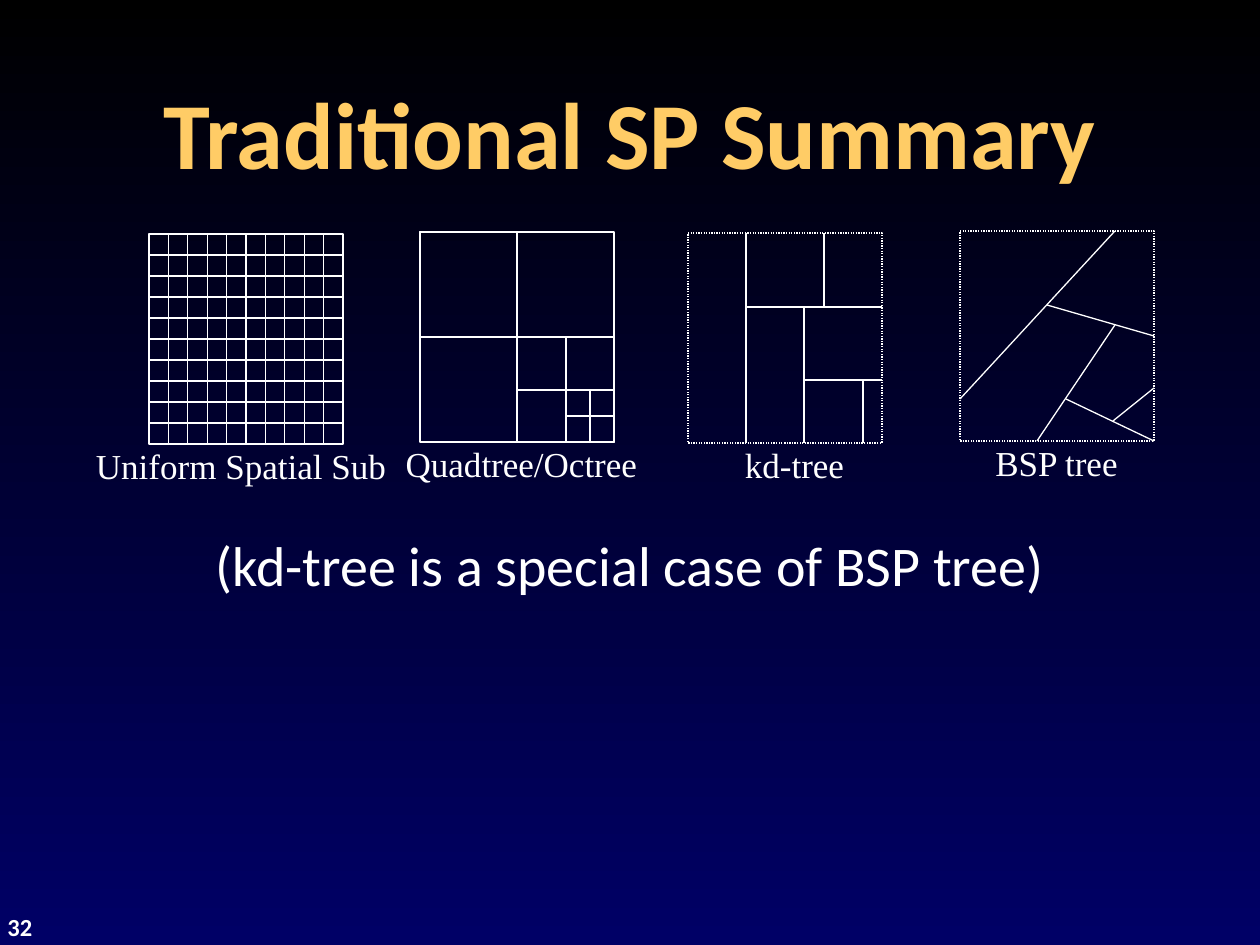
from dataclasses import dataclass

from pptx import Presentation
from pptx.dml.color import RGBColor
from pptx.enum.dml import MSO_LINE
from pptx.enum.shapes import MSO_CONNECTOR, MSO_SHAPE
from pptx.enum.text import MSO_ANCHOR as Anchor, PP_ALIGN as Align
from pptx.oxml.xmlchemy import OxmlElement
from pptx.util import Pt

EMU_PER_PX = 914400 / 126
FRAME_WIDTH, FRAME_HEIGHT = 194, 210
CAPTION_OFFSET, CAPTION_HEIGHT = 204, 54


@dataclass(frozen=True)
class Theme:
    sans: str = "Calibri"
    serif: str = "Times New Roman"
    white: RGBColor = RGBColor(0xFF, 0xFF, 0xFF)
    gold: RGBColor = RGBColor(0xFF, 0xCC, 0x66)
    black: RGBColor = RGBColor(0, 0, 0)
    navy: RGBColor = RGBColor(0, 0, 0x66)
    title_size: int = 54
    body_size: int = 32
    caption_size: int = 20
    number_size: int = 14
    line_width: float = 0.75


THEME = Theme()


def px(length):
    return round(length * EMU_PER_PX)


def paint_background(slide):
    fill = slide.background.fill
    fill.gradient()
    fill.gradient_angle = 270
    for stop, color in zip(fill.gradient_stops, (THEME.black, THEME.navy)):
        stop.color.rgb = color


def add_text(shapes, box, text, size, font=THEME.sans, color=THEME.white,
             bold=False, align=Align.CENTER, anchor=Anchor.TOP):
    frame = shapes.add_textbox(*map(px, box)).text_frame
    frame.word_wrap = True
    frame.vertical_anchor = anchor
    paragraph = frame.paragraphs[0]
    paragraph.alignment = align
    run = paragraph.add_run()
    run.text = text
    run.font.name = font
    run.font.size = Pt(size)
    run.font.bold = bold
    run.font.color.rgb = color


def style_line(line, dash=None):
    line.color.rgb = THEME.white
    line.width = Pt(THEME.line_width)
    if dash is not None:
        line.dash_style = dash


def add_cell(shapes, left, top, width, height, dash=None):
    cell = shapes.add_shape(MSO_SHAPE.RECTANGLE, *map(px, (left, top, width, height)))
    cell.shadow.inherit = False
    cell.fill.background()
    style_line(cell.line, dash)
    return cell


def add_split(shapes, cell, box, start, end):
    """Draw a line given relative to the cell's corner, joined at side middles."""
    left, top, width, height = box
    points = [px(value) for x, y in (start, end) for value in (left + x, top + y)]
    split = shapes.add_connector(MSO_CONNECTOR.STRAIGHT, *points)
    style_line(split.line)
    split._element.spPr.append(OxmlElement("a:effectLst"))
    sides = {(width / 2, 0): 0, (0, height / 2): 1,
             (width / 2, height): 2, (width, height / 2): 3}
    if start in sides:
        split.begin_connect(cell, sides[start])
    if end in sides:
        split.end_connect(cell, sides[end])


def add_divided_cell(shapes, box, splits, dash=None):
    cell = add_cell(shapes, *box, dash)
    for start, end in splits:
        add_split(shapes, cell, box, start, end)


def add_caption(shapes, left, frame_top, width, text):
    box = (left, frame_top + CAPTION_OFFSET, width, CAPTION_HEIGHT)
    add_text(shapes, box, text, THEME.caption_size, THEME.serif)


def grid_splits(width, height, count):
    columns = [((width * i / count, 0), (width * i / count, height))
               for i in range(1, count)]
    rows = [((0, height * i / count), (width, height * i / count))
            for i in range(1, count)]
    return columns + rows


def add_uniform_grid(slide):
    shapes = slide.shapes.add_group_shape().shapes
    left, top = 149, 234
    add_divided_cell(shapes, (left, top, FRAME_WIDTH, FRAME_HEIGHT),
                     grid_splits(FRAME_WIDTH, FRAME_HEIGHT, 10))
    add_caption(shapes, 81, top, 320, "Uniform Spatial Sub")


def add_quadtree(slide):
    shapes = slide.shapes.add_group_shape().shapes
    left, top = 420, 232
    half_width, half_height = FRAME_WIDTH // 2, FRAME_HEIGHT // 2
    middle_x, middle_y = left + half_width, top + half_height
    small_width, small_height = 48, 52
    add_cell(shapes, left, top, FRAME_WIDTH, FRAME_HEIGHT)
    add_cell(shapes, left, top, half_width, half_height)
    add_cell(shapes, middle_x, middle_y, half_width, half_height)
    add_cell(shapes, middle_x, middle_y,
             half_width - small_width, half_height - small_height)
    smallest = (left + FRAME_WIDTH - small_width, top + FRAME_HEIGHT - small_height,
                small_width, small_height)
    add_divided_cell(shapes, smallest, grid_splits(small_width, small_height, 2))
    add_caption(shapes, 393, top, 257, "Quadtree/Octree")


def add_partition_tree(slide, left, top, splits, caption_left, caption):
    shapes = slide.shapes.add_group_shape().shapes
    add_divided_cell(shapes, (left, top, FRAME_WIDTH, FRAME_HEIGHT), splits,
                     MSO_LINE.ROUND_DOT)
    add_caption(shapes, caption_left, top, 233, caption)


def main():
    presentation = Presentation()
    presentation.slide_width, presentation.slide_height = px(1260), px(945)
    slide = presentation.slides.add_slide(presentation.slide_layouts[6])
    paint_background(slide)
    add_text(slide.shapes, (-5, 906, 83, 42), "32", THEME.number_size,
             bold=True, align=Align.LEFT)
    add_text(slide.shapes, (63, 53, 1134, 158), "Traditional SP Summary",
             THEME.title_size, color=THEME.gold, bold=True, anchor=Anchor.MIDDLE)
    add_text(slide.shapes, (21, 524, 1218, 208),
             "(kd-tree is a special case of BSP tree)", THEME.body_size)

    add_uniform_grid(slide)
    add_quadtree(slide)
    kd_splits = [
        ((58, 0), (58, 210)),
        ((58, 74), (194, 74)),
        ((136, 74), (136, 0)),
        ((116, 74), (116, 210)),
        ((116, 147), (194, 147)),
        ((175, 147), (175, 210)),
    ]
    add_partition_tree(slide, 688, 233, kd_splits, 678, "kd-tree")
    bsp_splits = [
        ((0, 168), (155, 0)),
        ((87, 74), (194, 105)),
        ((155, 94), (77, 210)),
        ((194, 210), (106, 168)),
        ((153, 190), (194, 157)),
    ]
    add_partition_tree(slide, 960, 231, bsp_splits, 940, "BSP tree")
    presentation.save("out.pptx")


if __name__ == "__main__":
    main()
